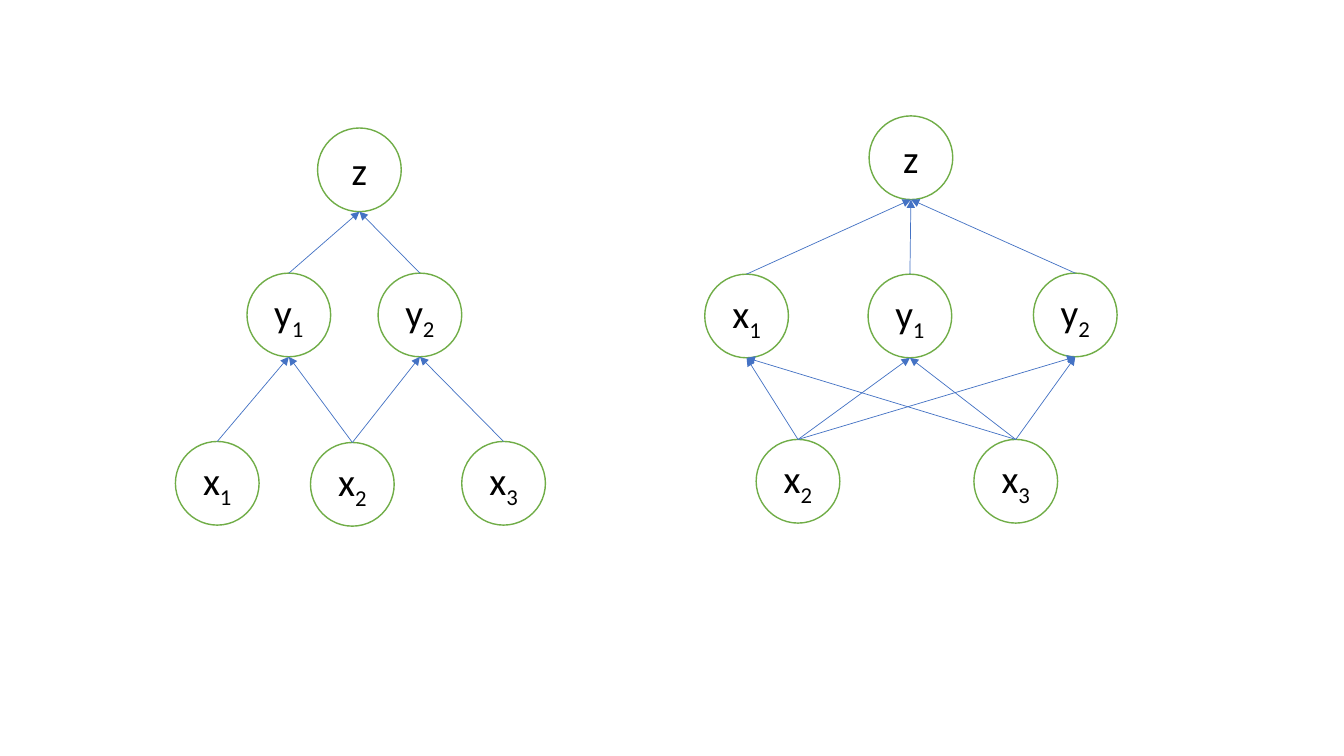
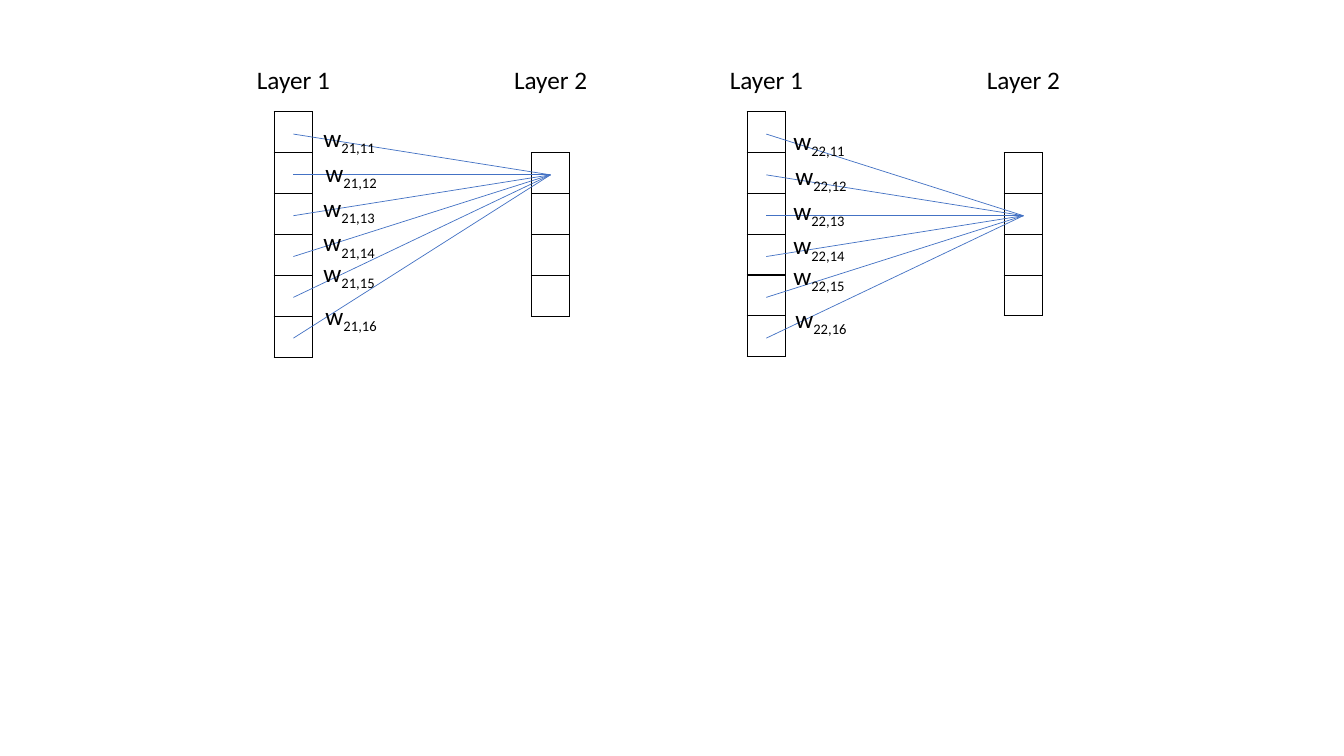
from pptx import Presentation
from pptx.dml.color import RGBColor
from pptx.enum.shapes import MSO_CONNECTOR as Connector, MSO_SHAPE as Preset
from pptx.enum.text import MSO_ANCHOR as Anchor, MSO_AUTO_SIZE as AutoSize, PP_ALIGN as Align
from pptx.oxml import parse_xml
from pptx.oxml.ns import nsdecls
from pptx.util import Inches, Pt

WHITE = RGBColor(0xFF, 0xFF, 0xFF)
BLACK = RGBColor(0x00, 0x00, 0x00)
GREEN = RGBColor(0x70, 0xAD, 0x47)
BLUE = RGBColor(0x44, 0x72, 0xC4)
FONT = "Calibri"


def write_label(shape, letter, subscript, size):
    """Write a letter or word, with an optional subscript, on one line."""
    shape.text_frame.word_wrap = False
    paragraph = shape.text_frame.paragraphs[0]
    paragraph.text = letter
    if subscript:
        run = paragraph.add_run()
        run.text = subscript
        run._r.get_or_add_rPr().set("baseline", "-25000")
    for run in paragraph.runs:
        run.font.name = FONT
        run.font.size = Pt(size)
        run.font.color.rgb = BLACK


def add_line(slide, start_x, start_y, end_x, end_y):
    """Draw a thin blue line without a shadow."""
    line = slide.shapes.add_connector(
        Connector.STRAIGHT, Inches(start_x), Inches(start_y), Inches(end_x), Inches(end_y))
    line.line.color.rgb = BLUE
    line.line.width = Pt(0.5)
    line._element.spPr.append(parse_xml(f"<a:effectLst {nsdecls('a')}/>"))
    return line


presentation = Presentation()
presentation.slide_width = Inches(13.33)
presentation.slide_height = Inches(7.5)
blank_layout = presentation.slide_layouts[6]

# Slide 1: two graphs of round nodes; each node has its left and top
NODE = 0.83
GRAPHS = [
    ({"z": (3.15, 1.27), "y1": (2.45, 2.71), "y2": (3.75, 2.71),
      "x1": (1.74, 4.38), "x2": (3.08, 4.39), "x3": (4.58, 4.38)},
     {"z": ["y1", "y2"], "y1": ["x1", "x2"], "y2": ["x2", "x3"]}),
    ({"z": (8.62, 1.15), "x1": (6.99, 2.72), "y1": (8.61, 2.72),
      "y2": (10.25, 2.71), "x2": (7.5, 4.36), "x3": (9.66, 4.36)},
     {"z": ["x1", "y1", "y2"], "x1": ["x2", "x3"],
      "y1": ["x2", "x3"], "y2": ["x2", "x3"]}),
]
slide = presentation.slides.add_slide(blank_layout)
for places, inputs in GRAPHS:
    nodes = {}
    for name, (left, top) in places.items():
        node = slide.shapes.add_shape(
            Preset.OVAL, Inches(left), Inches(top), Inches(NODE), Inches(NODE))
        node.shadow.inherit = False
        node.fill.solid()
        node.fill.fore_color.rgb = WHITE
        node.line.color.rgb = GREEN
        node.line.width = Pt(1)
        node.text_frame.vertical_anchor = Anchor.MIDDLE
        write_label(node, name[0], name[1:], 28)
        node.text_frame.paragraphs[0].alignment = Align.CENTER
        nodes[name] = node

    # Arrows from the top of each input to the bottom of its target
    for target, sources in inputs.items():
        for source in sources:
            arrow = add_line(slide, 0, 0, 0, 0)
            arrow.begin_connect(nodes[source], 0)
            arrow.end_connect(nodes[target], 2)
            # An oval has eight sites: its bottom is number 4
            arrow._element.xpath(".//a:endCxn")[0].set("idx", "4")
            arrow.line._get_or_add_ln().append(
                parse_xml(f'<a:tailEnd {nsdecls("a")} type="triangle"/>'))

# Slide 2: two networks, each joining layer 1 to one cell of layer 2
CELL_WIDTH = 0.38
ROW = 2.43 / 6
LAYER_TOP = 1.11
LAYER_GAP = 2.55
LAYER_ROWS = [6, 4]
FIRST_LINE = 1.33
WEIGHT_TOPS = [1.16, 1.51, 1.86, 2.2, 2.5, 2.93]
WEIGHT_SHIFTS = [0, 0.02, 0, 0, 0, 0.02]
# Left of layer 1, left of the weights, their drop, and the unit joined
NETWORKS = [(2.72, 3.11, 0, 1), (7.41, 7.77, 0.03, 2)]

slide = presentation.slides.add_slide(blank_layout)
for layer_left, weight_left, weight_drop, unit in NETWORKS:
    labels = []

    # Layers as one-column tables, the shorter one centred on the longer
    for layer, rows in enumerate(LAYER_ROWS):
        left = layer_left + layer * LAYER_GAP
        top = LAYER_TOP + (LAYER_ROWS[0] - rows) / 2 * ROW
        table = slide.shapes.add_table(
            rows, 1, Inches(left), Inches(top), Inches(CELL_WIDTH), Inches(rows * ROW)).table
        table.first_row = table.horz_banding = False
        for cell in table.iter_cells():
            for side in ("lnL", "lnR", "lnT", "lnB"):
                cell._tc.get_or_add_tcPr().append(parse_xml(
                    f'<a:{side} {nsdecls("a")} w="{Pt(1)}"><a:solidFill>'
                    f'<a:srgbClr val="{BLACK}"/></a:solidFill></a:{side}>'))
            cell.fill.background()
        labels.append((left - 0.27, 0.59, 0.94, f"Layer {layer + 1}", ""))

    # Lines between cell centres, with their weights
    start_x = layer_left + CELL_WIDTH / 2
    for row in range(LAYER_ROWS[0]):
        add_line(slide, start_x, FIRST_LINE + row * ROW,
                 start_x + LAYER_GAP, FIRST_LINE + unit * ROW)
        labels.append((weight_left + WEIGHT_SHIFTS[row], WEIGHT_TOPS[row] + weight_drop,
                       0.77, "w", f"2{unit},1{row + 1}"))

    # Layer names and weights
    for left, top, width, letter, subscript in labels:
        label = slide.shapes.add_textbox(Inches(left), Inches(top), Inches(width), Inches(0.4))
        write_label(label, letter, subscript, 18)
        label.text_frame.auto_size = AutoSize.SHAPE_TO_FIT_TEXT

presentation.save("out.pptx")
